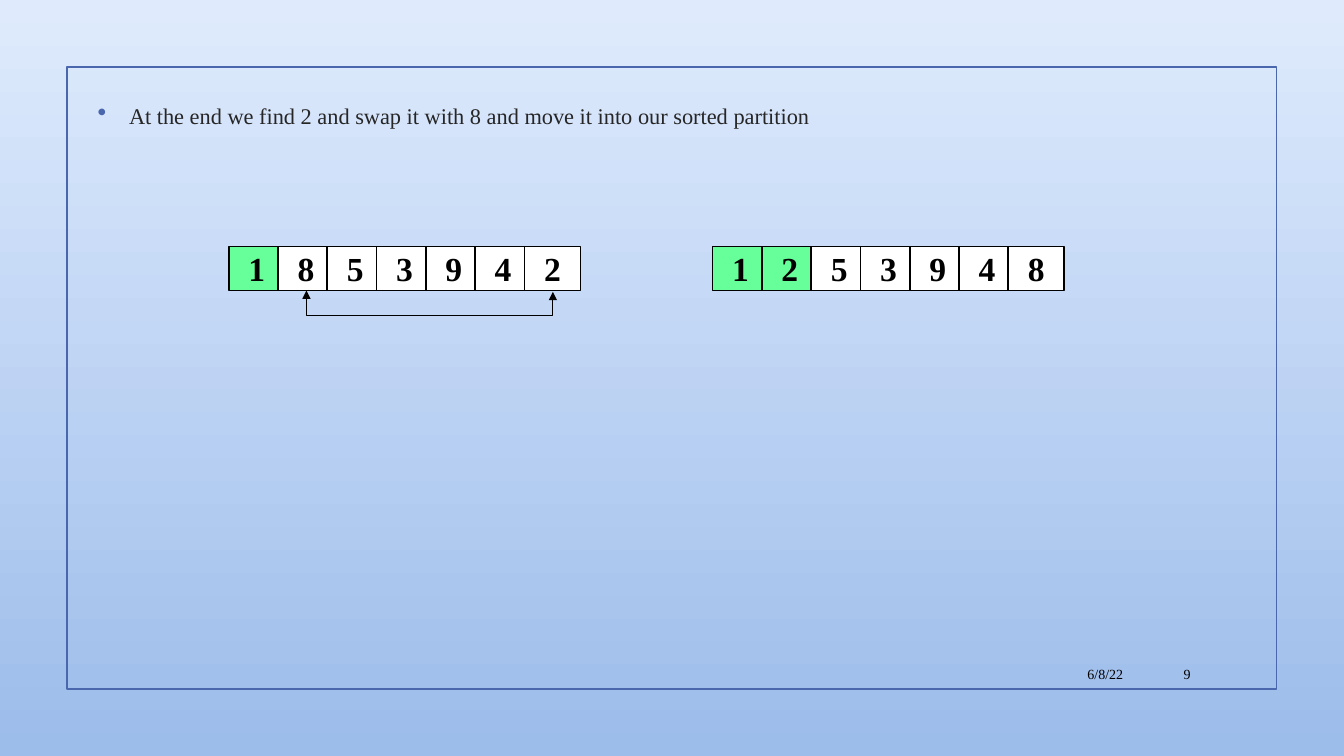
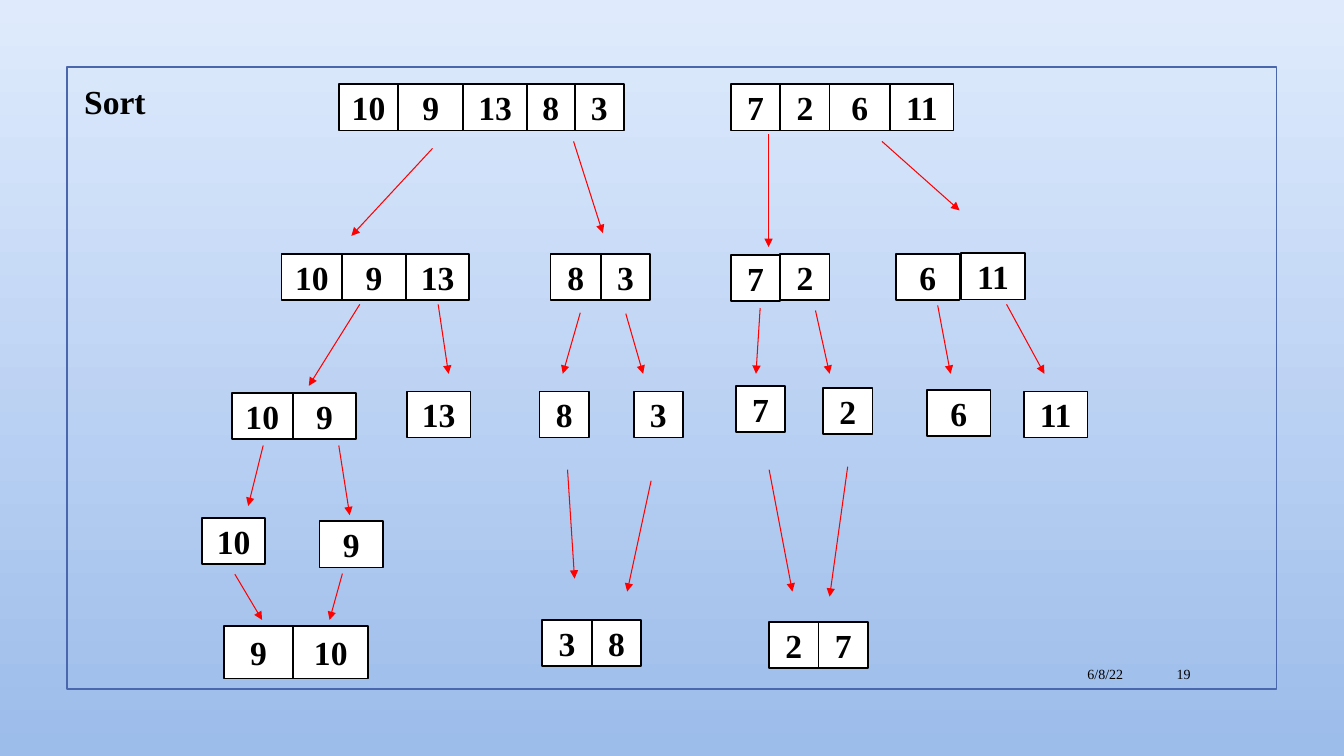
"""Build two slides that show selection sort and merge sort."""
from lxml import etree
from pptx import Presentation
from pptx.dml.color import RGBColor
from pptx.enum.shapes import MSO_CONNECTOR, MSO_SHAPE
from pptx.enum.text import MSO_ANCHOR, PP_ALIGN
from pptx.oxml.ns import qn
from pptx.util import Pt

BLACK = RGBColor(0x00, 0x00, 0x00)
WHITE = RGBColor(0xFF, 0xFF, 0xFF)
GREEN = RGBColor(0x66, 0xFF, 0x99)
RED = RGBColor(0xFF, 0x00, 0x00)
BLUE = RGBColor(0x4A, 0x66, 0xAC)
GRAY = RGBColor(0x26, 0x26, 0x26)
SKY = RGBColor(0xDF, 0xEB, 0xFD)
DUSK = RGBColor(0x9C, 0xBC, 0xEA)

FONT = "Times New Roman"
RECT = MSO_SHAPE.RECTANGLE
STRAIGHT = MSO_CONNECTOR.STRAIGHT
ELBOW = MSO_CONNECTOR.ELBOW
LEFT, CENTER, RIGHT = PP_ALIGN.LEFT, PP_ALIGN.CENTER, PP_ALIGN.RIGHT
TOP, MIDDLE = MSO_ANCHOR.TOP, MSO_ANCHOR.MIDDLE

PITCH = 35.2
SWAPS = (
    (163.4, "1853942", 1),
    (509, "1253948", 2),
)
ROWS = (
    (242, 60.2, (("10", 42.5), ("9", 46.5), ("13", 45.5), ("8", 34), ("3", 35))),
    (522, 60.2, (("7", 35.3), ("2", 35.3), ("6", 43.2), ("11", 45.4))),
    (201, 181.5, (("10", 43.5), ("9", 45.4), ("13", 45.4))),
    (393.2, 181.5, (("8", 36), ("3", 35.3))),
    (522, 182, (("7", 35.3),)),
    (557.3, 181.5, (("2", 35.3),)),
    (640, 181.5, (("6", 45.4),)),
    (686.6, 180.9, (("11", 45.4),)),
    (165.6, 280.8, (("10", 43.5), ("9", 45.4))),
    (290.7, 279.6, (("13", 45.4),)),
    (385.4, 279.6, (("8", 35.3),)),
    (452.6, 279.6, (("3", 35.3),)),
    (525.6, 275.8, (("7", 35.3),)),
    (588, 277.2, (("2", 35.3),)),
    (662.2, 278.6, (("6", 45.4),)),
    (731.4, 279.6, (("11", 45.4),)),
    (144.2, 369.8, (("10", 45.4),)),
    (228.2, 372.4, (("9", 45.4),)),
    (387.4, 442.8, (("3", 35.3), ("8", 35.3))),
    (549.4, 444.2, (("2", 35.3), ("7", 35.3))),
)
MERGED = (160, 447.2, (("9", 49.5), ("10", 53.5)))
ARROWS = (
    (309, 106, 251, 168.5),
    (409.7, 101, 430.6, 166.5),
    (549, 96, 549, 176.4),
    (630, 101, 685.4, 150.3),
    (257, 217.4, 220.6, 275.6),
    (313, 217.4, 320.4, 267),
    (414.5, 223.4, 402, 267),
    (447, 224, 459.4, 267),
    (543, 220, 540, 267),
    (582.5, 221.8, 592.6, 267),
    (669.8, 218.2, 679, 267),
    (719, 217.4, 746, 267),
    (242, 318.2, 249.8, 368),
    (188, 318.2, 177.3, 361.4),
    (167.8, 410.2, 187.2, 442.8),
    (244.6, 409.7, 235.4, 442.8),
    (465.1, 343.4, 448, 422.6),
    (405.4, 335.5, 410.4, 413.3),
    (549.4, 335.5, 566, 422.6),
    (605.5, 333.4, 592.6, 426.2),
)


def write(shape, text, size=24, color=BLACK, bold=False, align=LEFT, anchor=TOP):
    """Put one formatted paragraph into a shape and return the paragraph."""
    frame = shape.text_frame
    frame.word_wrap = True
    frame.vertical_anchor = anchor
    para = frame.paragraphs[0]
    para.alignment = align
    run = para.add_run()
    run.text = text
    font = run.font
    font.name, font.size, font.bold = FONT, Pt(size), bold
    font.color.rgb = color
    return para


def label(slide, text, left, top, width, height, **style):
    """Add a text box and return its paragraph."""
    box = slide.shapes.add_textbox(Pt(left), Pt(top), Pt(width), Pt(height))
    return write(box, text, **style)


def block(slide, left, top, width, height, fill=None, line=BLACK):
    """Add an outlined rectangle."""
    shape = slide.shapes.add_shape(RECT, Pt(left), Pt(top), Pt(width), Pt(height))
    shape.shadow.inherit = False
    if fill is None:
        shape.fill.background()
    else:
        shape.fill.solid()
        shape.fill.fore_color.rgb = fill
    shape.line.color.rgb = line
    shape.line.width = Pt(1.25)
    return shape


def cell(slide, text, left, top, width, height, fill=WHITE):
    """Add one array cell with its number."""
    shape = block(slide, left, top, width, height, fill)
    write(shape, text, bold=True, align=CENTER, anchor=MIDDLE)


def row(slide, left, top, items, height=33):
    """Add touching cells from left to right."""
    for text, width in items:
        cell(slide, text, left, top, width, height)
        left += width


def arrow(slide, ends, color=RED, kind=STRAIGHT, tips=("tailEnd",)):
    """Add a connector with triangle tips."""
    link = slide.shapes.add_connector(kind, *map(Pt, ends))
    link.line.color.rgb = color
    link.line.width = Pt(0.75)
    props = link._element.spPr
    line = props.find(qn("a:ln"))
    for tip in tips:
        etree.SubElement(line, qn("a:" + tip), type="triangle")
    etree.SubElement(props, qn("a:effectLst"))
    return props


def swap(slide, left, right, top, drop):
    """Add a two-headed bracket that hangs below two cells."""
    mid, half = (left + right) / 2, (right - left) / 2
    ends = (mid + 0.5, top - half, mid - 0.5, top + half)
    props = arrow(slide, ends, BLACK, ELBOW, ("headEnd", "tailEnd"))
    props.find(qn("a:xfrm")).set("rot", str(270 * 60000))
    guides = props.find(qn("a:prstGeom")).find(qn("a:avLst"))
    etree.SubElement(guides, qn("a:gd"), name="adj1", fmla=f"val {drop * 100000}")


def bullet(para):
    """Give a paragraph a blue hanging bullet."""
    para.space_before, para.space_after = Pt(3.2), Pt(6)
    props = para._p.get_or_add_pPr()
    props.set("marL", str(Pt(22.5)))
    props.set("indent", str(-Pt(22.5)))
    tint = etree.SubElement(props, qn("a:buClr"))
    etree.SubElement(tint, qn("a:srgbClr"), val=str(BLUE))
    etree.SubElement(props, qn("a:buSzPct"), val="115000")
    etree.SubElement(props, qn("a:buChar"), char="•")


def paint(master):
    """Set the shared gradient background."""
    fill = master.background.fill
    fill.gradient()
    fill.gradient_angle = 270
    for stop, color in zip(fill.gradient_stops, (SKY, DUSK)):
        stop.color.rgb = color


def page(deck, number):
    """Add a slide with the frame, date and number."""
    slide = deck.slides.add_slide(deck.slide_layouts[6])
    block(slide, 47.8, 48, 864, 444, line=BLUE)
    for text, left, width in (("6/8/22", 683.3, 126), (number, 815, 42.5)):
        label(slide, text, left, 470, width, 22.3, size=10, align=RIGHT, anchor=MIDDLE)
    return slide


def select(deck):
    """Build the selection sort slide."""
    slide = page(deck, "9")
    text = "At the end we find 2 and swap it with 8 and move it into our sorted partition"
    bullet(label(slide, text, 62.6, 69.1, 756, 261, size=16, color=GRAY))
    for left, digits, done in SWAPS:
        for i, digit in enumerate(digits):
            fill = GREEN if i < done else WHITE
            cell(slide, digit, left + i * PITCH, 176, 40, 31.5, fill)
    swap(slide, 218.9, 394.9, 208, 18)


def merge(deck):
    """Build the merge sort slide."""
    slide = page(deck, "19")
    label(slide, "Sort", 53, 54, 148, 36, bold=True)
    for items in ROWS:
        row(slide, *items)
    row(slide, *MERGED, height=37.4)
    for ends in ARROWS:
        arrow(slide, ends)


def main():
    """Build and save the deck."""
    deck = Presentation()
    deck.slide_width, deck.slide_height = Pt(960), Pt(540)
    paint(deck.slide_master)
    select(deck)
    merge(deck)
    deck.save("out.pptx")


if __name__ == "__main__":
    main()
